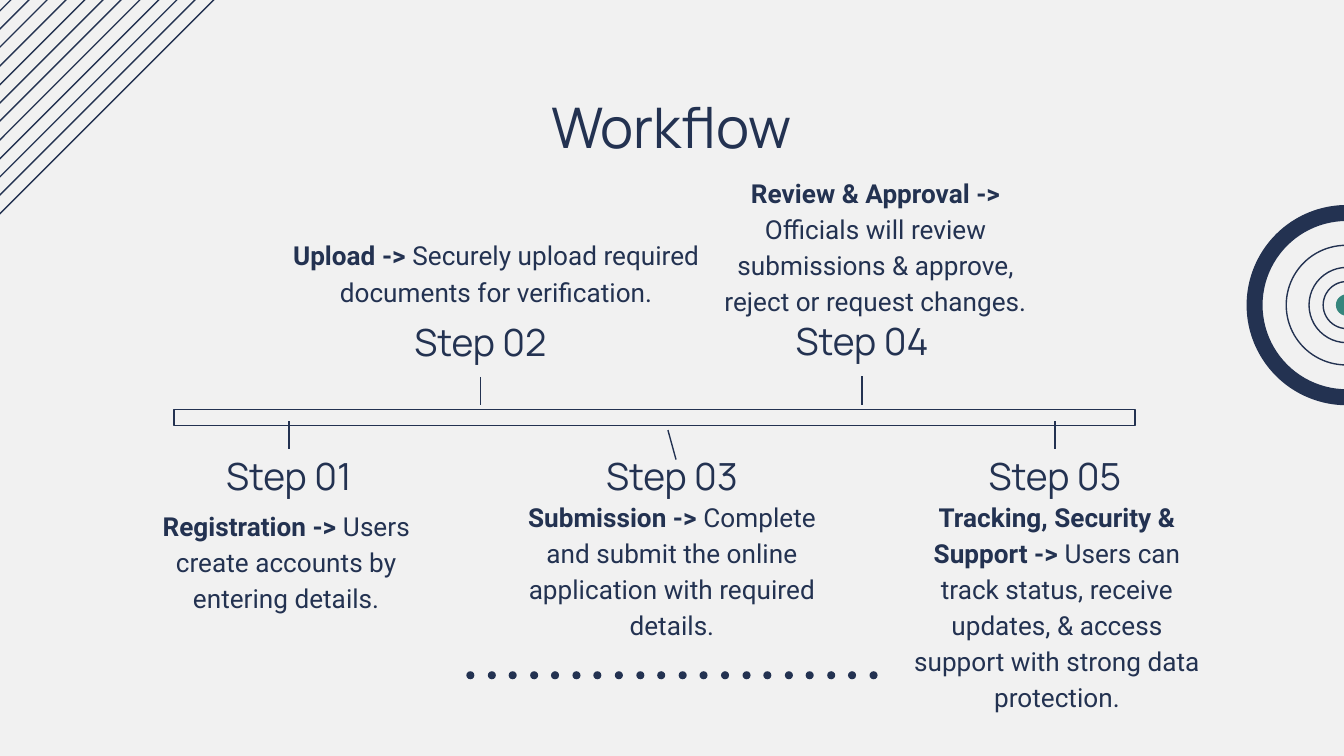
from lxml import etree
from pptx import Presentation
from pptx import util as u
from pptx.dml.color import RGBColor
from pptx.enum import shapes, text
from pptx.oxml.ns import qn

PX = 4572
NAVY, TEAL, PALE = "233251", "36867D", "F1F1F1"


def px(n):
    return u.Emu(n * PX)


def tint(code):
    return RGBColor.from_string(code)


class Deck:
    """Holds the style and the current slide, and draws each kind of element."""

    def __init__(self, wide, high):
        self.prs = Presentation()
        self.prs.slide_width, self.prs.slide_height = px(wide), px(high)
        self.slide = self.prs.slides.add_slide(self.prs.slide_layouts[6])
        back = self.slide.background.fill
        back.solid()
        back.fore_color.rgb = tint(PALE)

    def shape(self, kind, x, y, w, h, fill=None, line=None):
        item = self.slide.shapes.add_shape(kind, px(x), px(y), px(w), px(h))
        item.shadow.inherit = False
        if fill:
            item.fill.solid()
            item.fill.fore_color.rgb = tint(fill)
        else:
            item.fill.background()
        if line:
            item.line.color.rgb = tint(line)
            item.line.width = u.Pt(0.75)
        else:
            item.line.fill.background()
        return item

    def line(self, x1, y1, x2, y2):
        item = self.slide.shapes.add_connector(
            shapes.MSO_CONNECTOR.STRAIGHT, px(x1), px(y1), px(x2), px(y2))
        item.line.color.rgb = tint(NAVY)
        item.line.width = u.Pt(0.75)
        etree.SubElement(item._element.spPr, qn("a:effectLst"))
        return item

    def text(self, x, y, w, h, words, size, font, low=False, lead=None):
        box = self.slide.shapes.add_textbox(px(x), px(y), px(w), px(h))
        frame = box.text_frame
        frame.word_wrap = True
        frame.margin_left = frame.margin_right = px(20)
        frame.margin_top = frame.margin_bottom = px(20)
        anchor = text.MSO_ANCHOR
        frame.vertical_anchor = anchor.BOTTOM if low else anchor.TOP
        para = frame.paragraphs[0]
        para.alignment = text.PP_ALIGN.CENTER
        if lead:
            para.line_spacing = 1.15
            para.text = lead
            para.runs[0].font.bold = True
            para.add_run().text = words
        else:
            para.text = words
        for run in para.runs:
            run.font.size, run.font.name = u.Pt(size), font
            run.font.color.rgb = tint(NAVY)
        return box


STEPS = [
    (196, 668, (192, 733, 468, 186), (430, 627), "Registration ->",
     " Users create accounts by entering details."),
    (481, 468, (380, 330, 717, 158), (715, 602), "Upload ->",
     " Securely upload required documents for verification."),
    (766, 668, (766, 719, 468, 258), (994, 640), "Submission ->",
     " Complete and submit the online application with required details."),
    (1049, 467, (1049, 237, 508, 230), (1283, 602), "Review & Approval ->",
     " Officials will review submissions & approve, reject or request changes."),
    (1336, 668, (1336, 719, 474, 364), (1570, 626), "Tracking, Security & Support ->",
     " Users can track status, receive updates, & access support with strong data protection."),
]


def main():
    deck = Deck(2000, 1125)
    kind = shapes.MSO_SHAPE

    for i in range(12):
        x = round(-8 - 27.5 * i)
        deck.line(x, 326, x + 436, -110)

    for i in range(20):
        deck.shape(kind.OVAL, round(694 + 600 * i / 19), 999, 12, 12, NAVY)

    for x, y, size, fill, line in [
            (1914, 365, 178, None, NAVY), (1948, 398, 112, None, NAVY),
            (1988, 438, 32, TEAL, None), (1969, 419, 70, None, NAVY)]:
        deck.shape(kind.OVAL, x, y, size, size, fill, line)
    ring = deck.shape(kind.DONUT, 1855, 305, 298, 298, NAVY)
    ring.adjustments[0] = 0.08

    deck.text(190, 118, 1618, 126, "Workflow", 30, "Manrope")
    deck.shape(kind.RECTANGLE, 259, 609, 1430, 24, line=NAVY)

    for n, (x, y, place, end, lead, words) in enumerate(STEPS, 1):
        name = deck.text(x, y, 468, 93, f"Step {n:02}", 20, "Manrope", low=True)
        deck.text(*place, words, 14, "Roboto", lead=lead)
        if n == 3:
            deck.line(1006, 684, *end)
        else:
            tick = deck.line(x + 234, y, *end)
            tick.begin_connect(name, 0 if n % 2 else 2)

    deck.prs.save("out.pptx")


if __name__ == "__main__":
    main()
